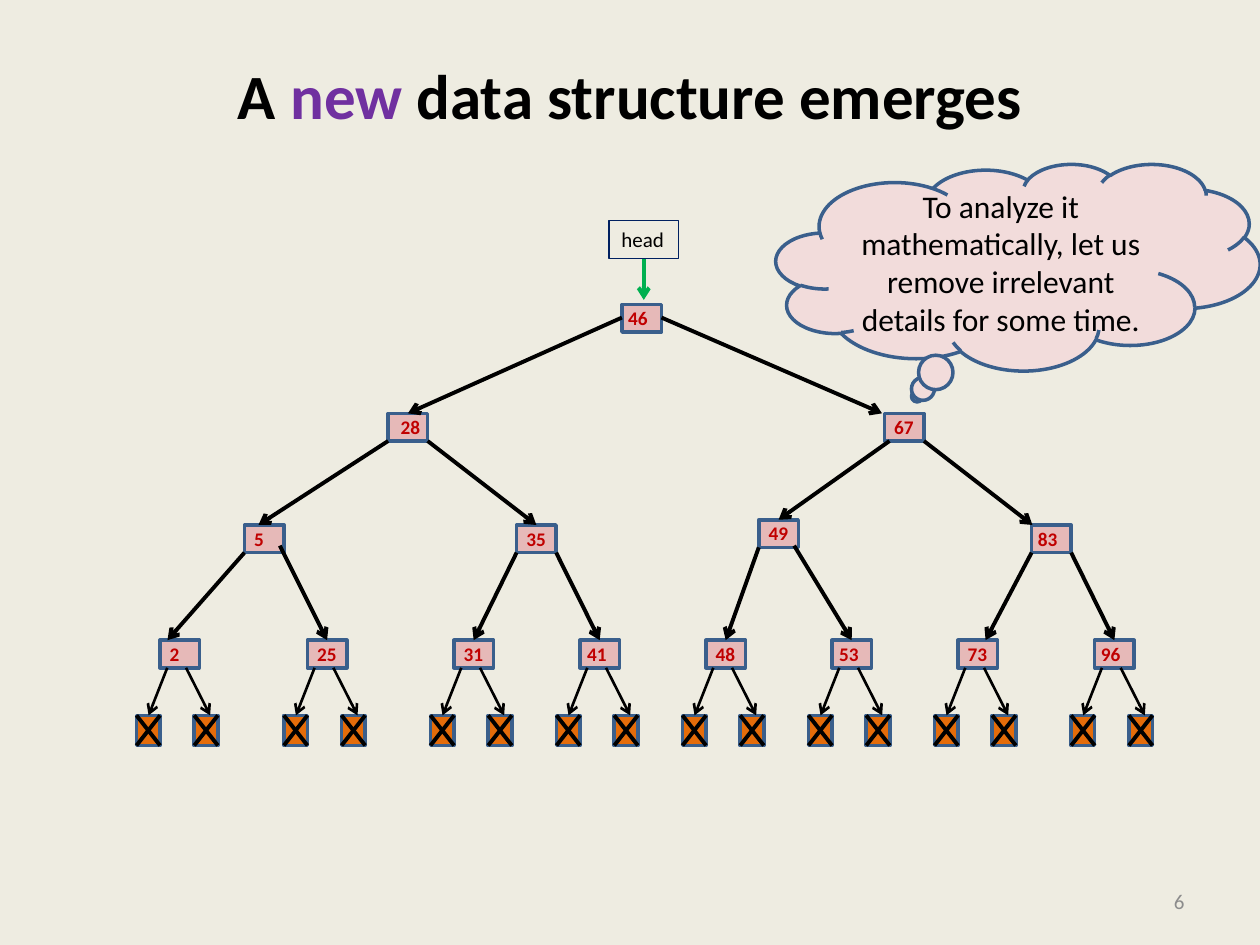
from dataclasses import dataclass

from lxml.etree import SubElement
from pptx import Presentation
from pptx.dml.color import RGBColor
from pptx.enum.shapes import MSO_CONNECTOR, MSO_SHAPE
from pptx.enum.text import MSO_ANCHOR, MSO_AUTO_SIZE, PP_ALIGN
from pptx.oxml.ns import qn
from pptx.util import Pt


@dataclass(frozen=True)
class Theme:
    font: str = "Calibri"
    background: str = "EEECE1"
    black: str = "000000"
    accent: str = "7030A0"
    key: str = "C00000"
    node: str = "E6B9B8"
    empty: str = "E46C0A"
    cloud: str = "F2DCDB"
    outline: str = "3A5F8C"
    head_outline: str = "002060"
    head_arrow: str = "00B050"
    page_number: str = "8C8C8C"
    title_size: float = 36
    callout_size: float = 18
    small_size: float = 12
    key_size: float = 11


THEME = Theme()
NODE_WIDTH, NODE_HEIGHT = 22.6, 15.8
EMPTY_WIDTH, EMPTY_HEIGHT = 13.5, 17.2
EMPTY_TOP = 408.8
LEAF_TOP = 365.8


@dataclass
class Node:
    """Tree node; entry and exits are arrow ends relative to its corner."""
    key: str
    left: float
    top: float
    label_shift: float = -1.5
    entry: float = NODE_WIDTH / 2
    left_exit: tuple = (0, NODE_HEIGHT)
    right_exit: tuple = (NODE_WIDTH, NODE_HEIGHT)


# Level order: the children of node i are nodes 2i + 1 and 2i + 2
NODES = [
    Node("46", 355.4, 174, -3.5, left_exit=(0, 7.5), right_exit=(NODE_WIDTH, 7.5)),
    Node("28", 221.8, 236.2, 0),
    Node("67", 505.4, 236.2, entry=-1.4, left_exit=(2.9, NODE_HEIGHT)),
    Node("5", 139.7, 300, entry=8, right_exit=(20.2, 11.8)),
    Node("35", 295.2, 300),
    Node("49", 433.6, 297, right_exit=(20.2, 14.8)),
    Node("83", 589.5, 300, -3.5, entry=0.5),
    Node("2", 91.4, LEAF_TOP, entry=4.3),
    Node("25", 175.6, LEAF_TOP),
    Node("31", 259.4, LEAF_TOP),
    Node("41", 331.4, LEAF_TOP, -3),
    Node("48", 403.4, LEAF_TOP),
    Node("53", 475.4, LEAF_TOP, -3),
    Node("73", 547.4, LEAF_TOP, entry=15.8),
    Node("96", 625.5, LEAF_TOP, -3.5),
]


def color(value):
    return RGBColor.from_string(value)


def add_span(para, text, *, size, ink=THEME.black, bold=False):
    span = para.add_run()
    span.text = text
    span.font.name = THEME.font
    span.font.size = Pt(size)
    span.font.bold = bold
    span.font.color.rgb = color(ink)


def write(box, *spans, align=PP_ALIGN.LEFT, anchor=MSO_ANCHOR.TOP, wrap=True, **style):
    """Write spans, each a text or a (text, colour) pair, into a box."""
    frame = box.text_frame
    frame.word_wrap = wrap
    frame.vertical_anchor = anchor
    para = frame.paragraphs[0]
    para.alignment = align
    for item in spans:
        if isinstance(item, tuple):
            add_span(para, item[0], **{**style, "ink": item[1]})
        else:
            add_span(para, item, **style)
    return frame


class TreeSlide:
    def __init__(self, deck, theme):
        self.theme = theme
        self.page = deck.slides.add_slide(deck.slide_layouts[5])
        self.page.background.fill.solid()
        self.page.background.fill.fore_color.rgb = color(theme.background)

    def title(self, *spans):
        box = self.page.shapes.title
        box.left, box.top, box.width, box.height = Pt(36), Pt(21.6), Pt(648), Pt(90)
        frame = write(box, *spans, size=self.theme.title_size, bold=True,
                      align=PP_ALIGN.CENTER, anchor=MSO_ANCHOR.MIDDLE)
        frame.margin_bottom = Pt(29)

    def shape(self, kind, left, top, width, height, fill=None, line=None, weight=2):
        box = self.page.shapes.add_shape(kind, Pt(left), Pt(top), Pt(width), Pt(height))
        box.shadow.inherit = False
        if fill:
            box.fill.solid()
            box.fill.fore_color.rgb = color(fill)
        else:
            box.fill.background()
        box.line.color.rgb = color(line or self.theme.outline)
        box.line.width = Pt(weight)
        return box

    def text(self, text, left, top, width, height, **style):
        box = self.page.shapes.add_textbox(Pt(left), Pt(top), Pt(width), Pt(height))
        return write(box, text, **style)

    def line(self, start, end, weight=2.25, ink=None, arrow=True):
        link = self.page.shapes.add_connector(
            MSO_CONNECTOR.STRAIGHT, *(Pt(value) for value in (*start, *end)))
        link.line.color.rgb = color(ink or self.theme.black)
        link.line.width = Pt(weight)
        if arrow:
            SubElement(link.line._get_or_add_ln(), qn("a:tailEnd"), type="arrow")
        SubElement(link._element.spPr, qn("a:effectLst"))

    def node(self, node):
        self.shape(MSO_SHAPE.RECTANGLE, node.left, node.top,
                   NODE_WIDTH, NODE_HEIGHT, self.theme.node)

    def key(self, node):
        width = 20.2 if len(node.key) == 1 else 25.9
        frame = self.text(node.key, node.left + node.label_shift, node.top - 2.5,
                          width, 20.9, wrap=False, size=self.theme.key_size,
                          ink=self.theme.key, bold=True)
        frame.auto_size = MSO_AUTO_SIZE.SHAPE_TO_FIT_TEXT

    def edge(self, parent, child, exit_point):
        start = (parent.left + exit_point[0], parent.top + exit_point[1])
        self.line(start, (child.left + child.entry, child.top))

    def empty_child(self, leaf, offset, arrow_start, arrow_end):
        left, right = leaf.left + offset, leaf.left + offset + EMPTY_WIDTH
        top, bottom = EMPTY_TOP, EMPTY_TOP + EMPTY_HEIGHT
        self.shape(MSO_SHAPE.RECTANGLE, left, top, EMPTY_WIDTH, EMPTY_HEIGHT,
                   self.theme.empty)
        self.line((right, top), (left, bottom), arrow=False)
        self.line((left, top), (right, bottom), arrow=False)
        self.line((leaf.left + arrow_start, leaf.top + NODE_HEIGHT),
                  (leaf.left + arrow_end, top), weight=1.5)


def main():
    deck = Presentation()
    deck.slide_width, deck.slide_height = Pt(720), Pt(540)
    slide = TreeSlide(deck, THEME)
    slide.title("A", (" new ", THEME.accent), "data structure emerges")
    slide.text("6", 516, 500.5, 168, 28.8, size=THEME.small_size,
               ink=THEME.page_number, align=PP_ALIGN.RIGHT, anchor=MSO_ANCHOR.MIDDLE)

    # Nodes, with two empty children below each leaf
    for node in NODES:
        slide.node(node)
    for leaf in NODES[len(NODES) // 2:]:
        slide.empty_child(leaf, -13.4, 4.2, -6.5)
        slide.empty_child(leaf, 19.6, 14.9, 28.7)

    # Edges between levels
    for index, parent in enumerate(NODES[:len(NODES) // 2]):
        slide.edge(parent, NODES[2 * index + 1], parent.left_exit)
        slide.edge(parent, NODES[2 * index + 2], parent.right_exit)

    # Head pointer
    slide.line((367.9, 147.6), (367.9, 171.4), ink=THEME.head_arrow)
    head = slide.shape(MSO_SHAPE.RECTANGLE, 348, 126, 39.6, 21.8,
                       line=THEME.head_outline, weight=0.75)
    write(head, "head", size=THEME.small_size)

    # Keys
    for node in NODES:
        slide.key(node)

    # Thought cloud
    cloud = slide.shape(MSO_SHAPE.CLOUD_CALLOUT, 443.5, 93.6, 276.5, 118.1, THEME.cloud)
    write(cloud, "To analyze it mathematically, let us remove irrelevant "
          "details for some time.", size=THEME.callout_size,
          align=PP_ALIGN.CENTER, anchor=MSO_ANCHOR.MIDDLE)

    deck.save("out.pptx")


if __name__ == "__main__":
    main()
